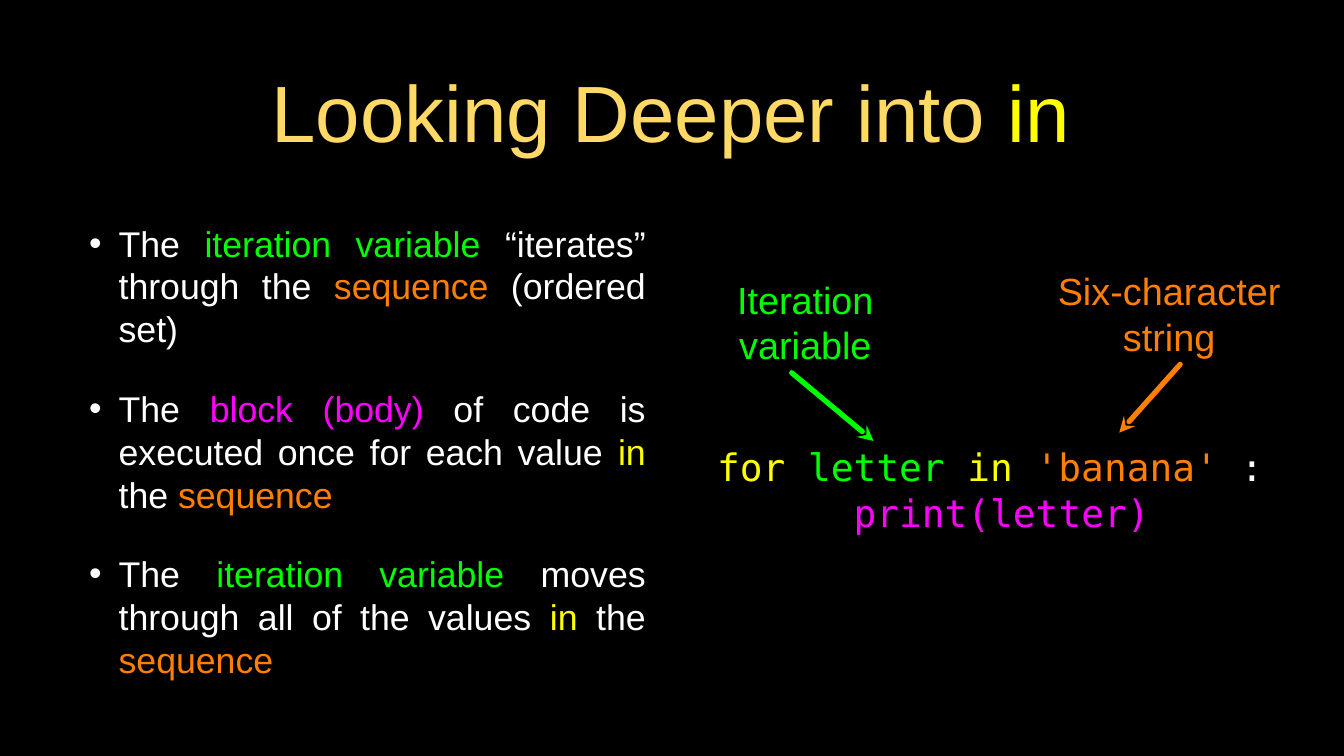
from dataclasses import dataclass

from lxml import etree
from pptx import Presentation
from pptx.dml.color import RGBColor
from pptx.enum.shapes import MSO_CONNECTOR
from pptx.enum.text import MSO_ANCHOR, MSO_AUTO_SIZE, PP_ALIGN
from pptx.oxml.ns import qn
from pptx.util import Pt

STRAIGHT = MSO_CONNECTOR.STRAIGHT
MIDDLE = MSO_ANCHOR.MIDDLE
NO_FIT = MSO_AUTO_SIZE.NONE
LEFT, CENTER, JUSTIFY = PP_ALIGN.LEFT, PP_ALIGN.CENTER, PP_ALIGN.JUSTIFY


@dataclass(frozen=True)
class Theme:
    """Hold the colours, fonts and sizes of the slide."""
    back: str = "000000"
    white: str = "FFFFFF"
    gold: str = "FFD966"
    yellow: str = "FFFF00"
    green: str = "00FF00"
    orange: str = "FF7F00"
    pink: str = "FF00FF"
    sans: str = "Arial"
    mono: str = "DejaVu Sans Mono"
    title: int = 76
    body: int = 34
    label: int = 36
    line: int = 5


T = Theme()

TITLE = [[("Looking Deeper into ", T.gold), ("in", T.yellow)]]
POINTS = [
    [("The ", T.white), ("iteration variable ", T.green),
     ("“iterates” through the ", T.white), ("sequence ", T.orange),
     ("(ordered set)", T.white)],
    [("The ", T.white), ("block (body)", T.pink),
     (" of code is executed once for each value ", T.white),
     ("in", T.yellow), (" the ", T.white), ("sequence", T.orange)],
    [("The ", T.white), ("iteration variable ", T.green),
     ("moves through all of the values ", T.white),
     ("in", T.yellow), (" the ", T.white), ("sequence", T.orange)],
]
CODE = [
    [("for ", T.yellow), ("letter ", T.green), ("in ", T.yellow),
     ("'banana' ", T.orange), (":", T.white)],
    [("      ", T.white), ("print(letter)", T.pink)],
]
LABELS = [
    ("Iteration variable", T.green, (639, 256, 256, 101)),
    ("Six-character string", T.orange, (966, 256, 295, 85)),
]
ARROWS = [
    (T.green, (754, 355, 832, 420)),
    (T.orange, (1124, 347, 1066, 412)),
]


def apply(item, values):
    """Set each attribute of an item from a dict."""
    for name, value in values.items():
        setattr(item, name, value)


def place(shape, box):
    """Move and size a shape in points."""
    names = ("left", "top", "width", "height")
    apply(shape, dict(zip(names, map(Pt, box))))


def bullet(para):
    """Give a paragraph a white hanging bullet."""
    props = para._p.get_or_add_pPr()
    props.set("marL", str(Pt(59)))
    props.set("indent", str(-Pt(28)))
    tint = etree.SubElement(props, qn("a:buClr"))
    etree.SubElement(tint, qn("a:srgbClr"), val=T.white)
    etree.SubElement(props, qn("a:buFont"), typeface=T.sans)
    etree.SubElement(props, qn("a:buChar"), char="•")


def write(shape, lines, size, font=T.sans, align=CENTER, inset=0, gap=0, dots=False):
    """Fill a shape with paragraphs of coloured runs."""
    frame = shape.text_frame
    apply(frame, {"word_wrap": True, "auto_size": NO_FIT, "vertical_anchor": MIDDLE})
    apply(frame, {f"margin_{side}": Pt(inset) for side in ("left", "top", "right", "bottom")})
    for index, line in enumerate(lines):
        para = frame.add_paragraph() if index else frame.paragraphs[0]
        if dots:
            bullet(para)
        apply(para, {"alignment": align, "space_before": Pt(gap if index else 0)})
        for text, color in line:
            run = para.add_run()
            run.text = text
            apply(run.font, {"name": font, "size": Pt(size)})
            run.font.color.rgb = RGBColor.from_string(color)


def add_text(slide, box, lines, **style):
    """Add a text box with coloured runs."""
    shape = slide.shapes.add_textbox(*map(Pt, box))
    write(shape, lines, T.label, **style)


def add_arrow(slide, color, ends):
    """Add a straight arrow with a stealth head."""
    arrow = slide.shapes.add_connector(STRAIGHT, *map(Pt, ends))
    arrow.line.width = Pt(T.line)
    arrow.line.color.rgb = RGBColor.from_string(color)
    stroke = arrow.line._get_or_add_ln()
    stroke.set("cap", "rnd")
    etree.SubElement(stroke, qn("a:tailEnd"), type="stealth")
    etree.SubElement(arrow._element.spPr, qn("a:effectLst"))


def main():
    """Build and save the slide."""
    deck = Presentation()
    apply(deck, {"slide_width": Pt(1280), "slide_height": Pt(720)})
    slide = deck.slides.add_slide(deck.slide_layouts[1])
    fill = slide.background.fill
    fill.solid()
    fill.fore_color.rgb = RGBColor.from_string(T.back)

    title, body = slide.placeholders
    place(title, (90, 38, 1097, 135))
    write(title, TITLE, T.title, inset=3)
    place(body, (51, 205, 567, 449))
    write(body, POINTS, T.body, align=JUSTIFY, inset=3, gap=35, dots=True)

    add_text(slide, (683, 412, 567, 108), CODE, font=T.mono, align=LEFT)
    for text, color, box in LABELS:
        add_text(slide, box, [[(text, color)]])
    for color, ends in ARROWS:
        add_arrow(slide, color, ends)
    deck.save("out.pptx")


if __name__ == "__main__":
    main()
